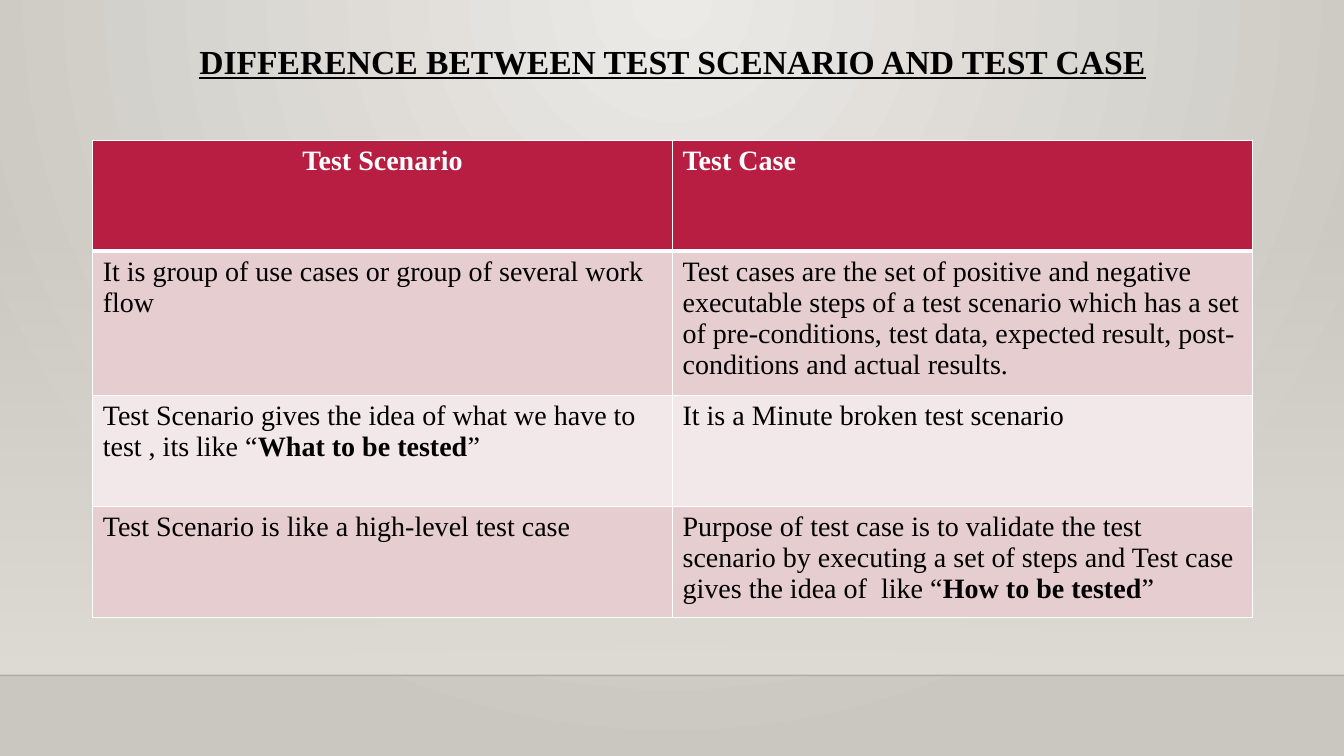
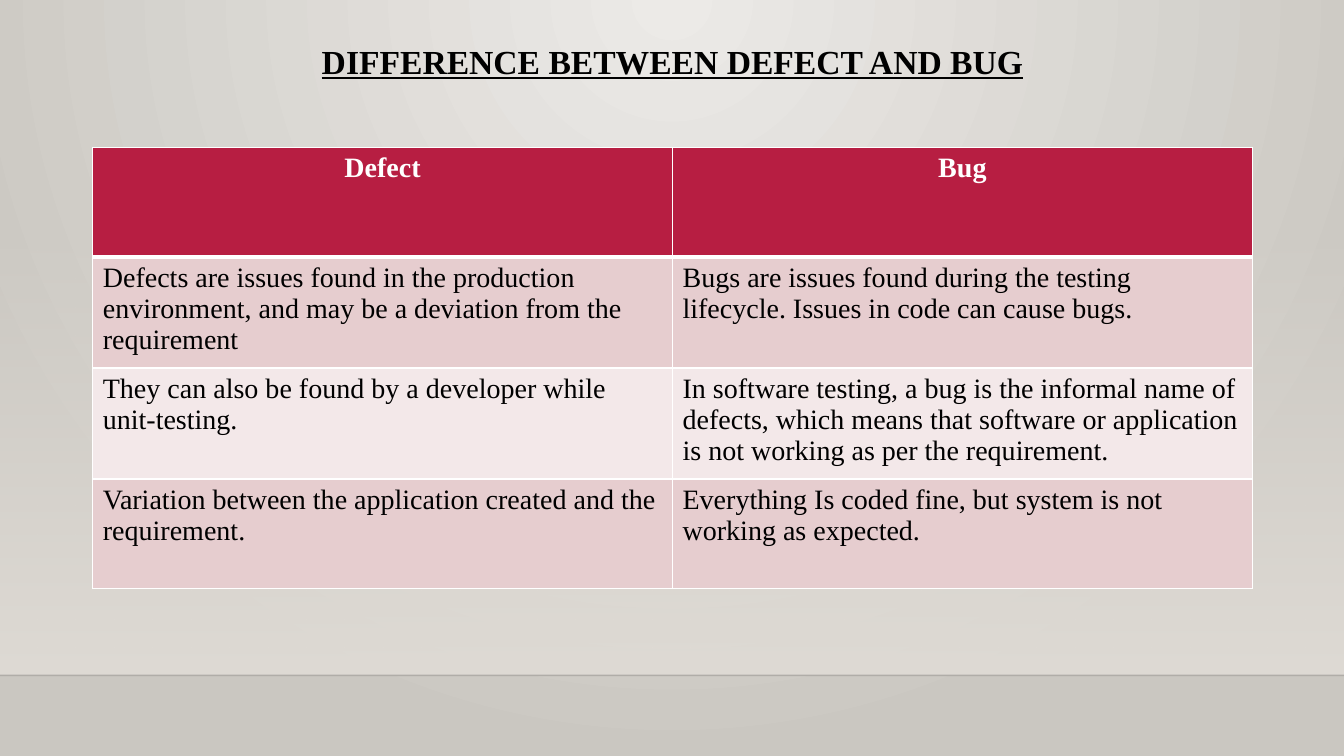
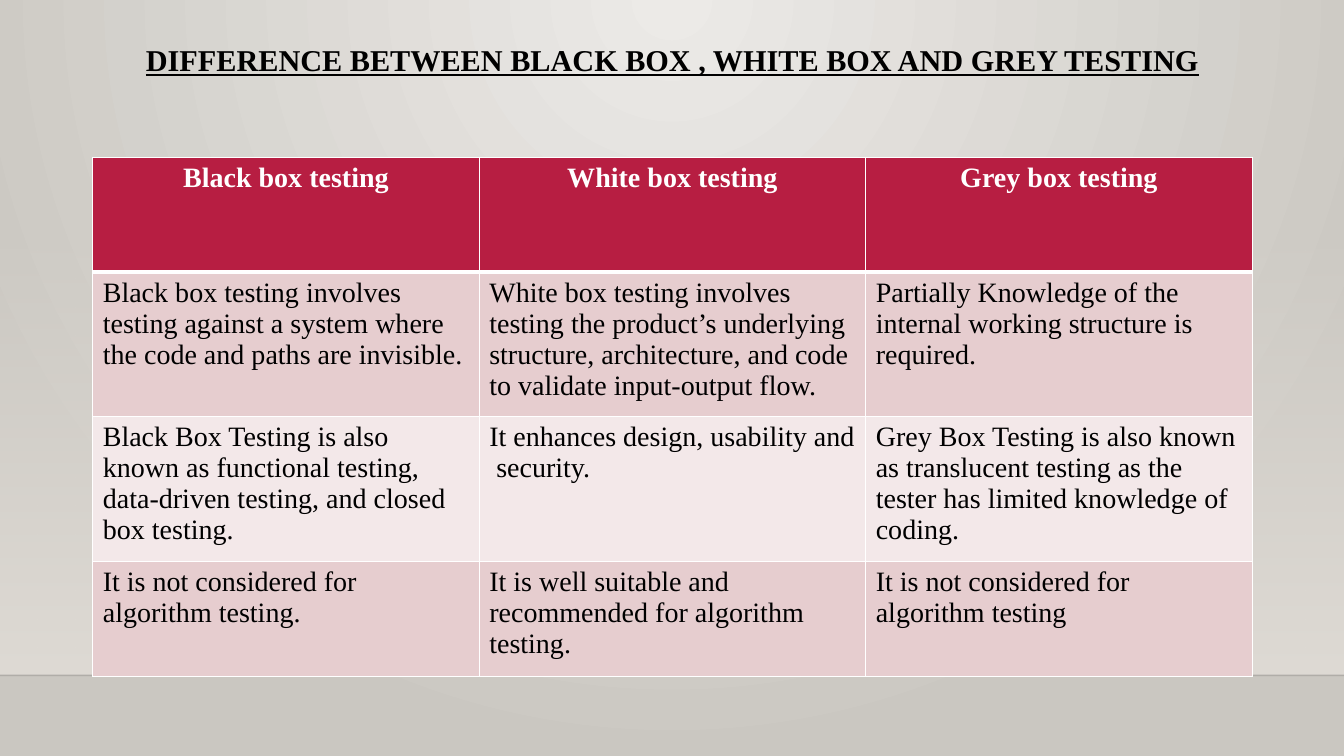
"""Build three slides that compare software testing terms in tables."""
from lxml.etree import SubElement
from pptx import Presentation
from pptx.dml.color import RGBColor
from pptx.enum.shapes import MSO_CONNECTOR, MSO_SHAPE
from pptx.enum.text import PP_ALIGN
from pptx.oxml.ns import qn
from pptx.util import Inches, Pt

BLACK = RGBColor(0x00, 0x00, 0x00)
WHITE = RGBColor(0xFF, 0xFF, 0xFF)
CRIMSON = RGBColor(0xB7, 0x1E, 0x42)
ROSE = RGBColor(0xE6, 0xCD, 0xCF)
PALE_ROSE = RGBColor(0xF3, 0xE8, 0xE9)
LIGHT_STONE = RGBColor(0xEC, 0xEA, 0xE7)
DARK_STONE = RGBColor(0xCA, 0xC7, 0xC1)
SAND = RGBColor(0xDF, 0xDB, 0xD5)
FONT = "Times New Roman"
SLIDE_WIDTH = 13.33
LEFT, CONTENT_WIDTH = 0.92, 11.5
FLOOR = 6.7

SLIDES = [
    {
        "title": "DIFFERENCE BETWEEN TEST SCENARIO AND TEST CASE",
        "title_size": 24, "title_height": 0.91, "top": 1.39, "row_height": 1.1,
        "header_aligns": [PP_ALIGN.CENTER, PP_ALIGN.LEFT],
        "rows": [
            ["Test Scenario", "Test Case"],
            ["It is group of use cases or group of several work flow",
             "Test cases are the set of positive and negative executable steps of a test "
             "scenario which has a set of pre-conditions, test data, expected result, "
             "post-conditions and actual results."],
            ["Test Scenario gives the idea of what we have to test , its like "
             "“*What to be tested*”",
             "It is a Minute broken test scenario"],
            ["Test Scenario is like a high-level test case",
             "Purpose of test case is to validate the test scenario by executing a set of "
             "steps and Test case gives the idea of  like “*How to be tested*”"],
        ],
    },
    {
        "title": "DIFFERENCE BETWEEN DEFECT AND BUG",
        "title_size": 24, "title_height": 0.52, "top": 1.46, "row_height": 1.09,
        "header_aligns": [PP_ALIGN.CENTER] * 2,
        "rows": [
            ["Defect", "Bug"],
            ["Defects are issues found in the production environment, and may be a "
             "deviation from the requirement",
             "Bugs are issues found during the testing lifecycle.\u00a0Issues in code can "
             "cause bugs."],
            ["They can also be found by a developer while unit-testing.",
             "In\u00a0software testing, a\u00a0bug\u00a0is the informal name of defects, "
             "which means that software or application is not working as per the "
             "requirement."],
            ["Variation between the application created and the requirement.",
             "Everything Is coded fine, but system is not working as expected."],
        ],
    },
    {
        "title": "DIFFERENCE BETWEEN BLACK BOX , WHITE BOX AND GREY TESTING",
        "title_size": 21.6, "title_height": 0.66, "top": 1.56, "row_height": 1.14,
        "header_aligns": [PP_ALIGN.CENTER] * 3,
        "rows": [
            ["Black box testing", "White box testing", "Grey box testing"],
            ["Black box testing involves testing against a system where the code and "
             "paths are invisible.",
             "White box testing involves testing the product’s underlying structure, "
             "architecture, and code to validate input-output flow.",
             "Partially Knowledge of the internal working structure is required."],
            ["Black Box Testing is also known as functional testing, data-driven "
             "testing, and closed box testing.",
             "It enhances design, usability and \u00a0security.",
             "Grey Box Testing is also known as translucent testing as the tester has "
             "limited knowledge of coding."],
            ["It is not considered for algorithm testing.",
             "It is well suitable and recommended for algorithm testing.",
             "It is not considered for algorithm testing"],
        ],
    },
]


def add_run(paragraph, text, size, color, bold):
    """Add one styled run to a paragraph and return it."""
    run = paragraph.add_run()
    run.text = text
    run.font.name = FONT
    run.font.size = Pt(size)
    run.font.bold = bold
    run.font.color.rgb = color
    return run


def set_border(cell, side, points):
    """Draw one white cell border."""
    line = SubElement(cell._tc.get_or_add_tcPr(), qn(f"a:ln{side}"), w=str(Pt(points)))
    fill = SubElement(line, qn("a:solidFill"))
    SubElement(fill, qn("a:srgbClr"), val=str(WHITE))


presentation = Presentation()
presentation.slide_width = Inches(SLIDE_WIDTH)
presentation.slide_height = Inches(7.5)
blank_layout = presentation.slide_layouts[6]

master = presentation.slide_master
background = master.background.fill
background.gradient()
for stop, color in zip(background.gradient_stops, (LIGHT_STONE, DARK_STONE)):
    stop.color.rgb = color
gradient = master.element.find(".//" + qn("a:gradFill"))
gradient.remove(gradient.find(qn("a:lin")))
circle = SubElement(gradient, qn("a:path"), {"path": "circle"})
SubElement(circle, qn("a:fillToRect"), l="43000", t="0", r="43000", b="100000")

for content in SLIDES:
    slide = presentation.slides.add_slide(blank_layout)

    wall = slide.shapes.add_shape(MSO_SHAPE.RECTANGLE, 0, Inches(2.21),
                                  Inches(SLIDE_WIDTH), Inches(FLOOR - 2.21))
    wall.shadow.inherit = False
    wall.line.fill.background()
    wall.fill.gradient()
    wall.fill.gradient_angle = 270
    for stop in wall.fill.gradient_stops:
        stop.color.rgb = SAND
    SubElement(wall.element.find(".//" + qn("a:srgbClr")), qn("a:alpha"), val="0")

    floor_line = slide.shapes.add_connector(MSO_CONNECTOR.STRAIGHT, 0, Inches(FLOOR),
                                            Inches(SLIDE_WIDTH), Inches(FLOOR))
    floor_line.line.width = Pt(1)
    floor_line.line.color.rgb = BLACK
    SubElement(floor_line.element.find(".//" + qn("a:srgbClr")), qn("a:alpha"), val="20000")
    SubElement(floor_line.element.spPr, qn("a:effectLst"))

    title = slide.shapes.add_textbox(Inches(LEFT), Inches(0.4), Inches(CONTENT_WIDTH),
                                     Inches(content["title_height"]))
    title.text_frame.word_wrap = True
    paragraph = title.text_frame.paragraphs[0]
    paragraph.alignment = PP_ALIGN.CENTER
    paragraph.line_spacing = 0.9
    title_run = add_run(paragraph, content["title"], content["title_size"], BLACK, True)
    title_run.font.underline = True

    rows = content["rows"]
    column_count = len(rows[0])
    table = slide.shapes.add_table(
        len(rows), column_count, Inches(LEFT), Inches(content["top"]),
        Inches(CONTENT_WIDTH), Inches(content["row_height"] * len(rows))).table
    for column in table.columns:
        column.width = Inches(CONTENT_WIDTH / column_count)

    for row_index, texts in enumerate(rows):
        table.rows[row_index].height = Inches(content["row_height"])
        is_header = row_index == 0
        row_fill = CRIMSON if is_header else (PALE_ROSE, ROSE)[row_index % 2]
        for column_index, text in enumerate(texts):
            cell = table.cell(row_index, column_index)
            for side in "LR":
                set_border(cell, side, 1)
            set_border(cell, "T", 3 if row_index == 1 else 1)
            set_border(cell, "B", 3 if is_header else 1)
            cell.fill.solid()
            cell.fill.fore_color.rgb = row_fill
            paragraph = cell.text_frame.paragraphs[0]
            if is_header:
                paragraph.alignment = content["header_aligns"][column_index]
            for part_index, part in enumerate(text.split("*")):
                add_run(paragraph, part, 20, WHITE if is_header else BLACK,
                        is_header or part_index % 2 == 1)

presentation.save("out.pptx")
